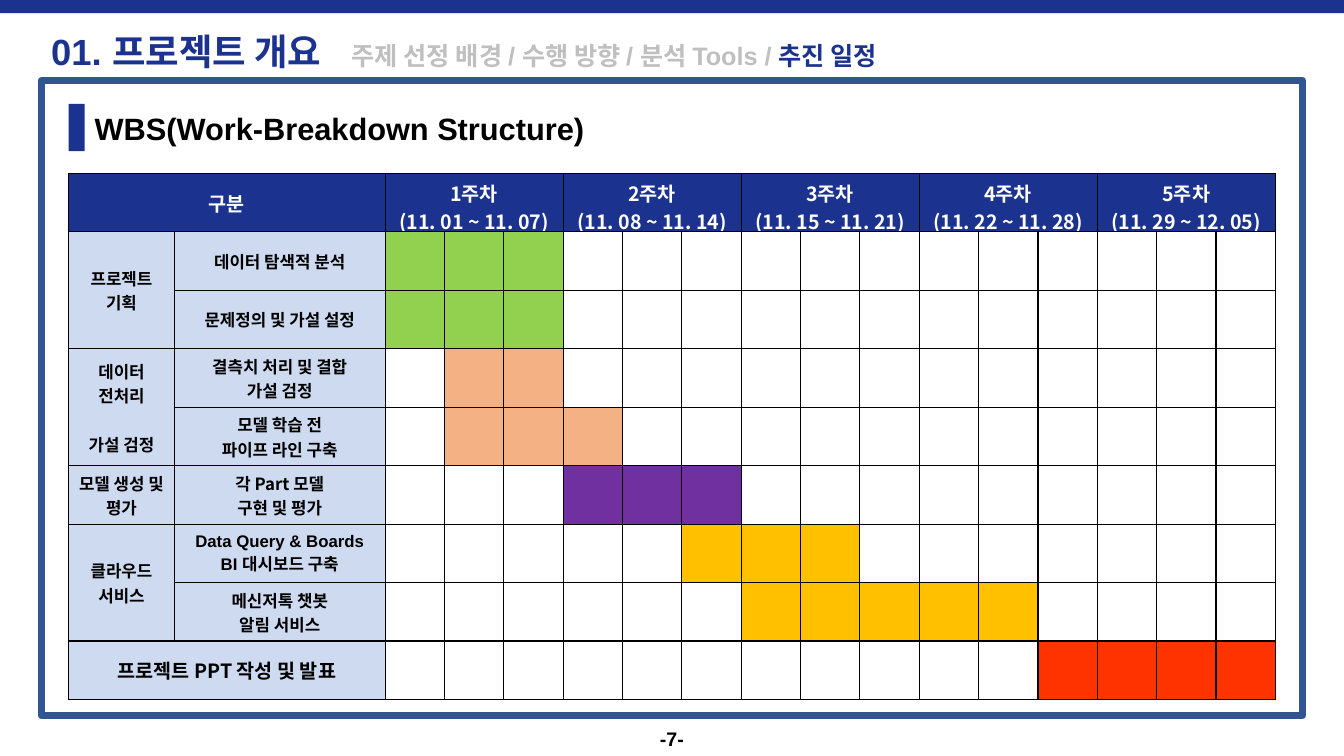
"""Builds the project schedule slide: a WBS table with weekly Gantt cells."""
from lxml import etree
from pptx import Presentation
from pptx.dml.color import RGBColor
from pptx.enum.shapes import MSO_SHAPE
from pptx.enum.text import MSO_ANCHOR, PP_ALIGN
from pptx.oxml.ns import qn
from pptx.util import Inches, Pt

RECTANGLE = MSO_SHAPE.RECTANGLE
MIDDLE = MSO_ANCHOR.MIDDLE
LEFT, CENTER = PP_ALIGN.LEFT, PP_ALIGN.CENTER
LATIN, KOREAN = "Arial", "Noto Sans CJK KR"
NAVY, FRAME_BLUE, PALE_BLUE = "1B328F", "325491", "CDDAEF"
BLACK, WHITE, GREY = "000000", "FFFFFF", "BFBFBF"
GREEN, PEACH, PURPLE, AMBER, RED = "92D050", "F4B183", "7030A0", "FFC000", "FF3300"

BREADCRUMB = [
    ("01. 프로젝트 개요\t", 26, NAVY),
    ("주제 선정 배경 / 수행 방향 / 분석 Tools / ", 18, GREY),
    ("추진 일정", 18, NAVY),
]
HEADING = "WBS(Work-Breakdown Structure)"
PAGE_NUMBER = "-7-"
CATEGORY = "구분"
WEEKS = [
    "1주차\n(11. 01 ~ 11. 07)",
    "2주차\n(11. 08 ~ 11. 14)",
    "3주차\n(11. 15 ~ 11. 21)",
    "4주차\n(11. 22 ~ 11. 28)",
    "5주차\n(11. 29 ~ 12. 05)",
]
# Each task: label, font, first slot, number of slots, colour
PHASES = [
    ("프로젝트\n기획", LATIN, [
        ("데이터 탐색적 분석", KOREAN, 0, 3, GREEN),
        ("문제정의 및 가설 설정", KOREAN, 0, 3, GREEN)]),
    ("데이터\n전처리\n가설 검정", KOREAN, [
        ("결측치 처리 및 결합\n가설 검정", KOREAN, 1, 2, PEACH),
        ("모델 학습 전\n파이프 라인 구축", KOREAN, 1, 3, PEACH)]),
    ("모델 생성 및 평가", KOREAN, [
        ("각 Part 모델\n구현 및 평가", KOREAN, 3, 3, PURPLE)]),
    ("클라우드\n서비스", LATIN, [
        ("Data Query & Boards\nBI 대시보드 구축", LATIN, 5, 3, AMBER),
        ("메신저톡 챗봇\n알림 서비스", KOREAN, 6, 5, AMBER)]),
]
FINAL_TASK = ("프로젝트 PPT 작성 및 발표", KOREAN, 11, 4, RED)

SLIDE_W, SLIDE_H = 13.33, 7.5
MARGIN, CONTENT_LEFT = 0.41, 0.68
FRAME_W = SLIDE_W - 2 * MARGIN
TABLE_W, ROW_H = 11.97, 0.58
LABEL_COLUMNS = [1.05, 2.09]
SLOTS_PER_WEEK = 3
SLOTS = SLOTS_PER_WEEK * len(WEEKS)
SLOT_W = (TABLE_W - sum(LABEL_COLUMNS)) / SLOTS
ROWS = 2 + sum(len(tasks) for _, _, tasks in PHASES)


def rgb(hex_code):
    return RGBColor.from_string(hex_code)


def style(run, size, colour, face):
    run.font.size = Pt(size)
    run.font.bold = True
    run.font.name = face
    run.font.color.rgb = rgb(colour)
    etree.SubElement(run.font._element, qn("a:ea"), typeface=KOREAN)


def add_box(slide, left, top, width, height, fill=None, line=None):
    box = slide.shapes.add_shape(RECTANGLE, *map(Inches, (left, top, width, height)))
    box.shadow.inherit = False
    if fill:
        box.fill.solid()
        box.fill.fore_color.rgb = rgb(fill)
    else:
        box.fill.background()
    if line:
        box.line.color.rgb = rgb(line)
        box.line.width = Pt(5)
    else:
        box.line.fill.background()


def add_line(slide, left, top, width, height, parts, align=LEFT):
    frame = slide.shapes.add_textbox(*map(Inches, (left, top, width, height))).text_frame
    frame.word_wrap = True
    frame.vertical_anchor = MIDDLE
    paragraph = frame.paragraphs[0]
    paragraph.alignment = align
    for words, size, colour in parts:
        run = paragraph.add_run()
        run.text = words
        style(run, size, colour, LATIN)
    return paragraph


def paint(cell, colour):
    cell.fill.solid()
    cell.fill.fore_color.rgb = rgb(colour)


def outline(cell):
    properties = cell._tc.get_or_add_tcPr()
    for side in ("a:lnL", "a:lnR", "a:lnT", "a:lnB"):
        border = etree.SubElement(properties, qn(side), w=str(Pt(1)))
        solid = etree.SubElement(border, qn("a:solidFill"))
        etree.SubElement(solid, qn("a:srgbClr"), val=BLACK)


def label(cell, words, face, size=12, colour=BLACK, fill=PALE_BLUE):
    paint(cell, fill)
    cell.vertical_anchor = MIDDLE
    cell.margin_left = cell.margin_right = Inches(0.1)
    cell.margin_top = cell.margin_bottom = Inches(0.05)
    cell.text_frame.text = words
    for paragraph in cell.text_frame.paragraphs:
        paragraph.alignment = CENTER
        for run in paragraph.runs:
            style(run, size, colour, face)


def fill_slots(table, row, start, length, colour):
    for slot in range(start, start + length):
        paint(table.cell(row, len(LABEL_COLUMNS) + slot), colour)


def add_schedule(slide):
    widths = LABEL_COLUMNS + [SLOT_W] * SLOTS
    table = slide.shapes.add_table(
        ROWS, len(widths), Inches(CONTENT_LEFT), Inches(1.72),
        Inches(TABLE_W), Inches(ROW_H * ROWS)).table
    for column, width in zip(table.columns, widths):
        column.width = Inches(width)
    for row in table.rows:
        row.height = Inches(ROW_H)
        for cell in row.cells:
            outline(cell)
            paint(cell, WHITE)

    headers = [(CATEGORY, 0, len(LABEL_COLUMNS))]
    headers += [(week, len(LABEL_COLUMNS) + i * SLOTS_PER_WEEK, SLOTS_PER_WEEK)
                for i, week in enumerate(WEEKS)]
    for words, first, span in headers:
        table.cell(0, first).merge(table.cell(0, first + span - 1))
        label(table.cell(0, first), words, KOREAN, 14, WHITE, NAVY)

    row = 1
    for phase, phase_face, tasks in PHASES:
        phase_cell = table.cell(row, 0)
        if len(tasks) > 1:
            phase_cell.merge(table.cell(row + len(tasks) - 1, 0))
        label(phase_cell, phase, phase_face)
        for extra in phase_cell.text_frame.paragraphs[2:]:
            extra.space_before = Pt(17.4)
        for task, face, start, length, colour in tasks:
            label(table.cell(row, 1), task, face)
            fill_slots(table, row, start, length, colour)
            row += 1

    task, face, start, length, colour = FINAL_TASK
    table.cell(row, 0).merge(table.cell(row, 1))
    label(table.cell(row, 0), task, face, 14)
    fill_slots(table, row, start, length, colour)


def main():
    deck = Presentation()
    deck.slide_width, deck.slide_height = Inches(SLIDE_W), Inches(SLIDE_H)
    slide = deck.slides.add_slide(deck.slide_layouts[6])
    add_line(slide, (SLIDE_W - 3) / 2, 7.15, 3, 0.35, [(PAGE_NUMBER, 14, BLACK)], CENTER)
    title = add_line(slide, MARGIN, 0.21, FRAME_W, 0.59, BREADCRUMB)
    tabs = etree.SubElement(title._p.get_or_add_pPr(), qn("a:tabLst"))
    etree.SubElement(tabs, qn("a:tab"), pos=str(Inches(2.98)), algn="l")
    add_box(slide, MARGIN, 0.8, FRAME_W, 6.3, line=FRAME_BLUE)
    add_box(slide, 0, 0, SLIDE_W, 0.13, fill=NAVY)
    add_box(slide, CONTENT_LEFT, 1.03, 0.16, 0.47, fill=NAVY)
    add_line(slide, 0.84, 1.04, 12.09, 0.47, [(HEADING, 22, BLACK)])
    add_schedule(slide)
    deck.save("out.pptx")


if __name__ == "__main__":
    main()
